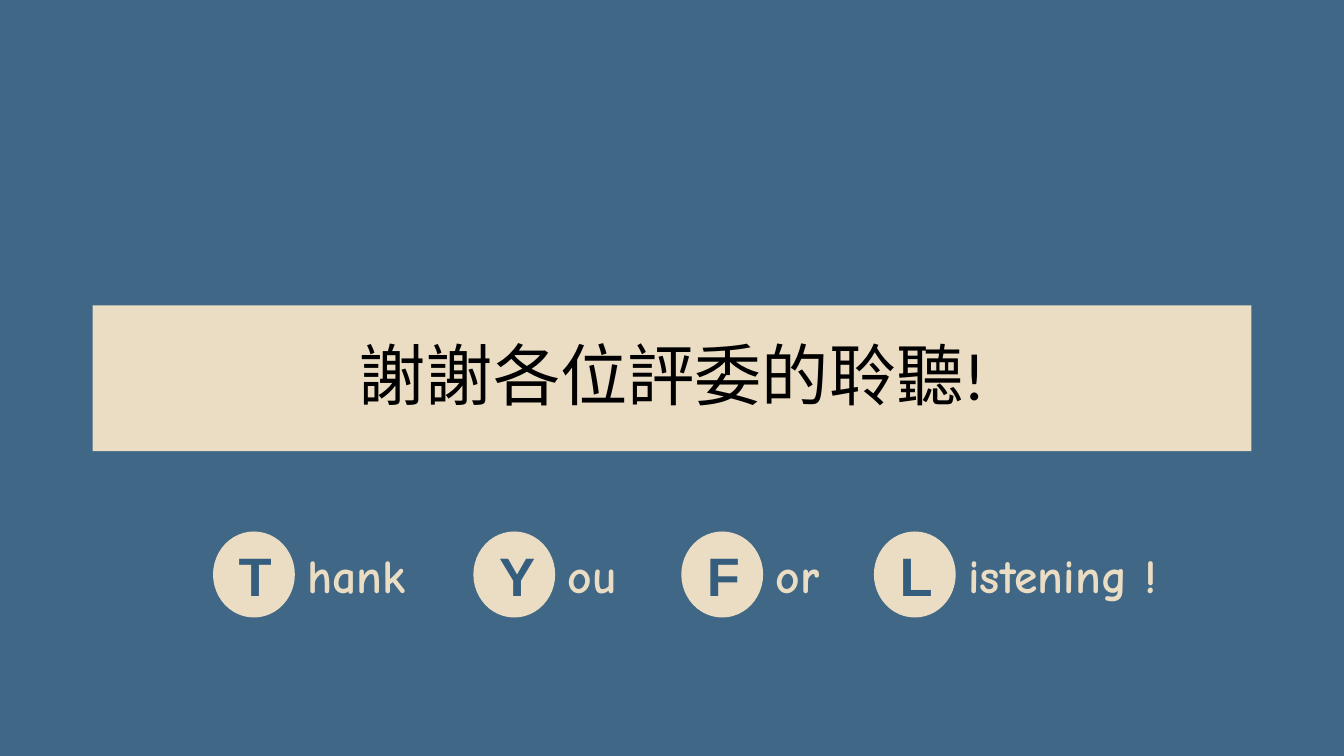
from dataclasses import dataclass

from pptx import Presentation
from pptx import util as u
from pptx.dml import color
from pptx.enum import shapes, text


@dataclass(frozen=True)
class Theme:
    """Colours, fonts and type sizes of the slide."""
    back: str = "406786"
    blue: str = "345D7E"
    sand: str = "EBDDC3"
    ink: str = "000000"
    head: float = 36
    cap: float = 29
    tail: float = 25.5


THEME = Theme()
TOP, DISC, HIGH = 10.06, 1.52, 1.6
WORDS = [("T", "hank", 4.04, 2.87), ("Y", "ou", 8.96, 1.52),
         ("F", "or", 12.89, 1.52), ("L", "istening !", 16.53, 8.33)]


def paint(fill, tint):
    """Give a fill one solid colour."""
    fill.solid()
    fill.fore_color.rgb = color.RGBColor.from_string(tint)


def write(shape, words, *, size, font, tint, bold=False, pad=(0.25, 0.25),
          align=text.PP_ALIGN.LEFT, anchor=text.MSO_ANCHOR.TOP,
          grow=text.MSO_AUTO_SIZE.NONE, lead=None):
    """Put formatted text in a shape."""
    frame = shape.text_frame
    frame.word_wrap = True
    frame.auto_size = grow
    frame.vertical_anchor = anchor
    frame.margin_left = frame.margin_right = u.Cm(pad[0])
    frame.margin_top = frame.margin_bottom = u.Cm(pad[1])
    para = frame.paragraphs[0]
    para.alignment = align
    para.line_spacing = lead
    run = para.add_run()
    run.text = words
    run.font.name = font
    run.font.size = u.Pt(size)
    run.font.bold = bold
    run.font.color.rgb = color.RGBColor.from_string(tint)


def banner(slide, words):
    """Turn the title placeholder into the sand band."""
    title = slide.shapes.title
    title.left, title.top = u.Cm(1.75), u.Cm(5.77)
    title.width, title.height = u.Cm(21.9), u.Cm(2.76)
    paint(title.fill, THEME.sand)
    write(title, words, size=THEME.head, font="Calibri", tint=THEME.ink,
          pad=(0.18, 0.1), align=text.PP_ALIGN.CENTER,
          anchor=text.MSO_ANCHOR.MIDDLE, lead=0.9)


def disc(group, letter, left):
    """Draw a round initial."""
    oval = group.shapes.add_shape(shapes.MSO_SHAPE.OVAL, u.Cm(left),
                                  u.Cm(TOP), u.Cm(DISC), u.Cm(HIGH))
    oval.shadow.inherit = False
    paint(oval.fill, THEME.sand)
    paint(oval.line.fill, THEME.sand)
    oval.line.width = u.Pt(0.75)
    write(oval, letter, size=THEME.cap, font="Arial", tint=THEME.blue,
          bold=True, anchor=text.MSO_ANCHOR.MIDDLE)


def rest(group, words, left, width):
    """Set the letters that follow an initial."""
    box = group.shapes.add_textbox(u.Cm(left), u.Cm(TOP),
                                   u.Cm(width), u.Cm(HIGH))
    write(box, words, size=THEME.tail, font="Comic Neue", tint=THEME.sand,
          bold=True, grow=text.MSO_AUTO_SIZE.SHAPE_TO_FIT_TEXT)


def main():
    """Build and save the closing slide."""
    deck = Presentation()
    deck.slide_width, deck.slide_height = u.Cm(25.4), u.Cm(14.29)
    slide = deck.slides.add_slide(deck.slide_layouts[5])
    paint(slide.background.fill, THEME.back)
    banner(slide, "謝謝各位評委的聆聽!")
    group = slide.shapes.add_group_shape()
    for letter, words, left, width in WORDS:
        disc(group, letter, left)
        rest(group, words, left + DISC, width)
    deck.save("out.pptx")


if __name__ == "__main__":
    main()
